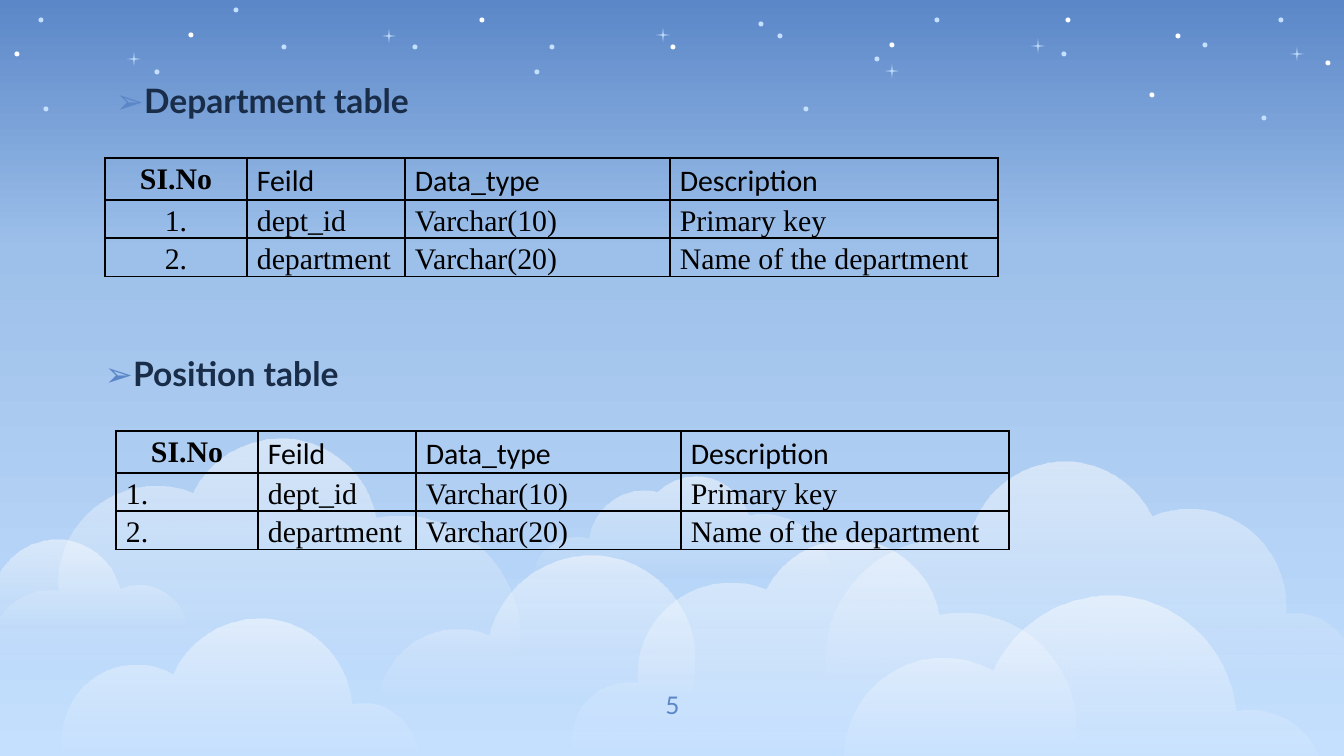
import math

import lxml.etree
import pptx
import pptx.dml.color
import pptx.enum.shapes
import pptx.enum.text
import pptx.oxml.ns
import pptx.util

PX = 914400 / 134.4
WIDTH, HEIGHT = 1344, 756

RGB = pptx.dml.color.RGBColor
BLUE = RGB(0x5B, 0x87, 0xC8)
SKY = RGB(0x9D, 0xC0, 0xEA)
PALE = RGB(0xC5, 0xE0, 0xFE)
NAVY = RGB(0x19, 0x2D, 0x49)
WHITE = RGB(0xFF, 0xFF, 0xFF)
BLACK = RGB(0, 0, 0)

ALIGN = pptx.enum.text.PP_ALIGN
ANCHOR = pptx.enum.text.MSO_ANCHOR
qn = pptx.oxml.ns.qn

ROWS = [
    ("SI.No", "Feild", "Data_type", "Description"),
    ("1.", "dept_id", "Varchar(10)", "Primary key"),
    ("2.", "department", "Varchar(20)", "Name of the department"),
]
COLUMN_WIDTHS = (142, 158, 265, 328)
ROW_HEIGHTS = (42, 38, 38)
# heading, heading position, table position, alignment of the row numbers
SECTIONS = [
    ("Department table", (116, 74), (105, 158), ALIGN.CENTER),
    ("Position table", (105, 347), (116, 431), ALIGN.LEFT),
]

# Each cloud: base line, then its circles (centre x, centre y, radius) from right to left
LEFT_CLOUD = (665, [(398, 637, 121), (280, 536, 97), (156, 583, 97), (50, 648, 58)])
MIRRORED_CLOUD = (LEFT_CLOUD[0] + 23,
                  [(WIDTH + 1 - x, y + 23, r) for x, y, r in reversed(LEFT_CLOUD[1])])
CLOUDS = [
    LEFT_CLOUD,
    (700, [(590, 660, 104), (457, 707, 78)]),
    (579, [(762, 585, 71), (696, 532, 55), (644, 546, 55), (577, 581, 44)]),
    (755, [(960, 728, 115), (848, 632, 92), (731, 676, 93), (629, 738, 56)]),
    (755, [(363, 758, 55), (259, 712, 93), (137, 739, 74)]),
    (629, [(139, 633, 48), (57, 605, 65)]),
    (778, [(1250, 784, 74), (1109, 723, 127), (943, 757, 99)]),
    MIRRORED_CLOUD,
]

DOT_SIZE = 5
DOTS = {
    PALE: [(1281, 20), (761, 24), (1064, 54), (937, 20), (552, 47), (415, 47),
           (284, 47), (41, 20), (157, 72), (780, 36), (877, 59), (236, 10),
           (537, 72), (1205, 45), (340, 95), (806, 109), (46, 109), (1264, 118)],
    WHITE: [(1068, 20), (1178, 36), (482, 20), (191, 35), (1328, 63), (17, 54),
            (673, 47), (892, 45), (1152, 95)],
}
SPARKLES = [(134, 59), (1038, 46), (1297, 54), (663, 35), (389, 36), (892, 71)]


def px(value):
    return pptx.util.Emu(round(value * PX))


def write(frame, text, size=16, font="Times New Roman", color=BLACK, bold=False,
          align=ALIGN.LEFT, spacing=None, bullet=None):
    paragraph = frame.paragraphs[0]
    paragraph.alignment = align
    if spacing:
        paragraph.line_spacing = spacing
    if bullet:
        properties = paragraph._p.get_or_add_pPr()
        properties.set("marL", "0")
        properties.set("indent", "0")
        bullet_color = lxml.etree.SubElement(properties, qn("a:buClr"))
        lxml.etree.SubElement(bullet_color, qn("a:srgbClr"), val=str(BLUE))
        lxml.etree.SubElement(properties, qn("a:buFont"), typeface=font)
        lxml.etree.SubElement(properties, qn("a:buChar"), char=bullet)
    run = paragraph.add_run()
    run.text = text
    run.font.size = pptx.util.Pt(size)
    run.font.name = font
    run.font.bold = bold
    run.font.color.rgb = color


def prepare_frame(shape, anchor):
    frame = shape.text_frame
    frame.word_wrap = True
    frame.auto_size = pptx.enum.text.MSO_AUTO_SIZE.NONE
    frame.vertical_anchor = anchor
    frame.margin_left = frame.margin_right = frame.margin_top = frame.margin_bottom = 0
    return frame


def fill_downwards(fill, element, stops):
    """Fill from top to bottom with stops of (percent, colour, opacity percent)."""
    fill.gradient()
    fill.gradient_angle = 270
    stop_list = next(element.iter(qn("a:gsLst")))
    for stop in list(stop_list):
        stop_list.remove(stop)
    for position, color, opacity in stops:
        stop = lxml.etree.SubElement(stop_list, qn("a:gs"), pos=str(position * 1000))
        value = lxml.etree.SubElement(stop, qn("a:srgbClr"), val=str(color))
        if opacity < 100:
            lxml.etree.SubElement(value, qn("a:alpha"), val=str(opacity * 1000))


def add_polygon(shapes, points):
    points = [(px(x), px(y)) for x, y in points]
    builder = shapes.build_freeform(*points[0], scale=1.0)
    builder.add_line_segments(points[1:], close=True)
    shape = builder.convert_to_shape()
    shape.shadow.inherit = False
    shape.line.fill.background()
    return shape


def upper_crossing(first, second):
    """Upper point where two circles cross."""
    (x1, y1, r1), (x2, y2, r2) = first, second
    distance = math.hypot(x2 - x1, y2 - y1)
    along = (r1 ** 2 - r2 ** 2 + distance ** 2) / (2 * distance)
    across = math.sqrt(r1 ** 2 - along ** 2)
    ux, uy = (x2 - x1) / distance, (y2 - y1) / distance
    return min(((x1 + along * ux - side * across * uy, y1 + along * uy + side * across * ux)
                for side in (1, -1)), key=lambda point: point[1])


def arc_points(circle, start, end):
    """Bézier points after start, three for each quadrant the arc passes."""
    x, y, radius = circle
    first = math.atan2(y - start[1], start[0] - x)
    last = first + (math.atan2(y - end[1], end[0] - x) - first) % math.tau
    quarter = math.pi / 2
    turns = range(math.floor(first / quarter) + 1, math.ceil(last / quarter))
    angles = [first, *(turn * quarter for turn in turns), last]
    points = []
    for a, b in zip(angles, angles[1:]):
        pull = 4 / 3 * math.tan((b - a) / 4)
        for angle, shift in ((a, pull), (b, -pull), (b, 0)):
            points.append((x + radius * (math.cos(angle) - shift * math.sin(angle)),
                           y - radius * (math.sin(angle) + shift * math.cos(angle))))
    return points


def add_cloud(shapes, base, circles):
    def base_crossing(circle, side):
        x, y, radius = circle
        return x + side * math.sqrt(radius ** 2 - (base - y) ** 2), base

    knots = [base_crossing(circles[0], 1)]
    knots += [upper_crossing(*pair) for pair in zip(circles, circles[1:])]
    knots.append(base_crossing(circles[-1], -1))
    points = knots[:1]
    for circle, start, end in zip(circles, knots, knots[1:]):
        points += arc_points(circle, start, end)
    cloud = add_polygon(shapes, points)

    lines = list(cloud._element.iter(qn("a:lnTo")))
    for index in range(0, len(points) - 1, 3):
        curve = lxml.etree.Element(qn("a:cubicBezTo"))
        lines[index].addprevious(curve)
        for line in lines[index:index + 3]:
            curve.append(line[0])
            line.getparent().remove(line)
    fill_downwards(cloud.fill, cloud._element, [(0, WHITE, 51), (100, WHITE, 0)])


def add_sky(slide):
    fill_downwards(slide.background.fill, slide._element,
                   [(0, BLUE, 100), (33, SKY, 100), (100, PALE, 100)])
    shapes = slide.shapes.add_group_shape().shapes
    for base, circles in CLOUDS:
        add_cloud(shapes, base, circles)
    for color, centres in DOTS.items():
        for x, y in centres:
            dot = shapes.add_shape(
                pptx.enum.shapes.MSO_SHAPE.OVAL, px(x - DOT_SIZE / 2), px(y - DOT_SIZE / 2),
                px(DOT_SIZE), px(DOT_SIZE))
            dot.shadow.inherit = False
            dot.fill.solid()
            dot.fill.fore_color.rgb = color
            dot.line.fill.background()
    for x, y in SPARKLES:
        tips = [(7 if i % 2 == 0 else 1, i * math.pi / 4) for i in range(8)]
        sparkle = add_polygon(shapes, [(x + r * math.cos(a), y + r * math.sin(a)) for r, a in tips])
        sparkle.fill.solid()
        sparkle.fill.fore_color.rgb = PALE


def format_cell(cell):
    cell.margin_left = cell.margin_right = px(10)
    cell.margin_top = cell.margin_bottom = 0
    cell.fill.background()
    properties = cell._tc.get_or_add_tcPr()
    for index, side in enumerate(("lnL", "lnR", "lnT", "lnB")):
        border = lxml.etree.Element(qn("a:" + side), w=str(pptx.util.Pt(1)))
        solid = lxml.etree.SubElement(border, qn("a:solidFill"))
        lxml.etree.SubElement(solid, qn("a:srgbClr"), val=str(BLACK))
        properties.insert(index, border)


def add_field_table(slide, left, top, number_align):
    table = slide.shapes.add_table(len(ROWS), len(COLUMN_WIDTHS), px(left), px(top),
                                   px(sum(COLUMN_WIDTHS)), px(sum(ROW_HEIGHTS))).table
    table.first_row = table.horz_banding = False
    for column, width in zip(table.columns, COLUMN_WIDTHS):
        column.width = px(width)
    for r, (height, texts) in enumerate(zip(ROW_HEIGHTS, ROWS)):
        table.rows[r].height = px(height)
        for c, text in enumerate(texts):
            cell = table.cell(r, c)
            format_cell(cell)
            header, number = r == 0, c == 0
            align = ALIGN.LEFT
            if number:
                align = ALIGN.CENTER if header else number_align
            write(cell.text_frame, text, spacing=1.15, align=align, bold=header and number,
                  font="Calibri" if header and not number else "Times New Roman")


def main():
    presentation = pptx.Presentation()
    presentation.slide_width, presentation.slide_height = px(WIDTH), px(HEIGHT)
    slide = presentation.slides.add_slide(presentation.slide_layouts[5])
    add_sky(slide)

    title = slide.shapes.title
    title._element.getparent().append(title._element)  # in front of the stars
    number = slide.shapes.add_textbox(px(632), px(676), px(81), px(58))
    write(prepare_frame(number, ANCHOR.MIDDLE), "5", size=13, font="Lato", color=BLUE,
          align=ALIGN.CENTER)

    for index, (text, (left, top), table_position, number_align) in enumerate(SECTIONS):
        heading = title if index == 0 else slide.shapes.add_textbox(0, 0, 0, 0)
        heading.left, heading.top = px(left), px(top)
        heading.width, heading.height = px(367), px(63)
        write(prepare_frame(heading, ANCHOR.TOP), text, size=18, font="Lato", color=NAVY,
              bold=True, spacing=1.15, bullet="➢")
        add_field_table(slide, *table_position, number_align)
    presentation.save("out.pptx")


if __name__ == "__main__":
    main()
